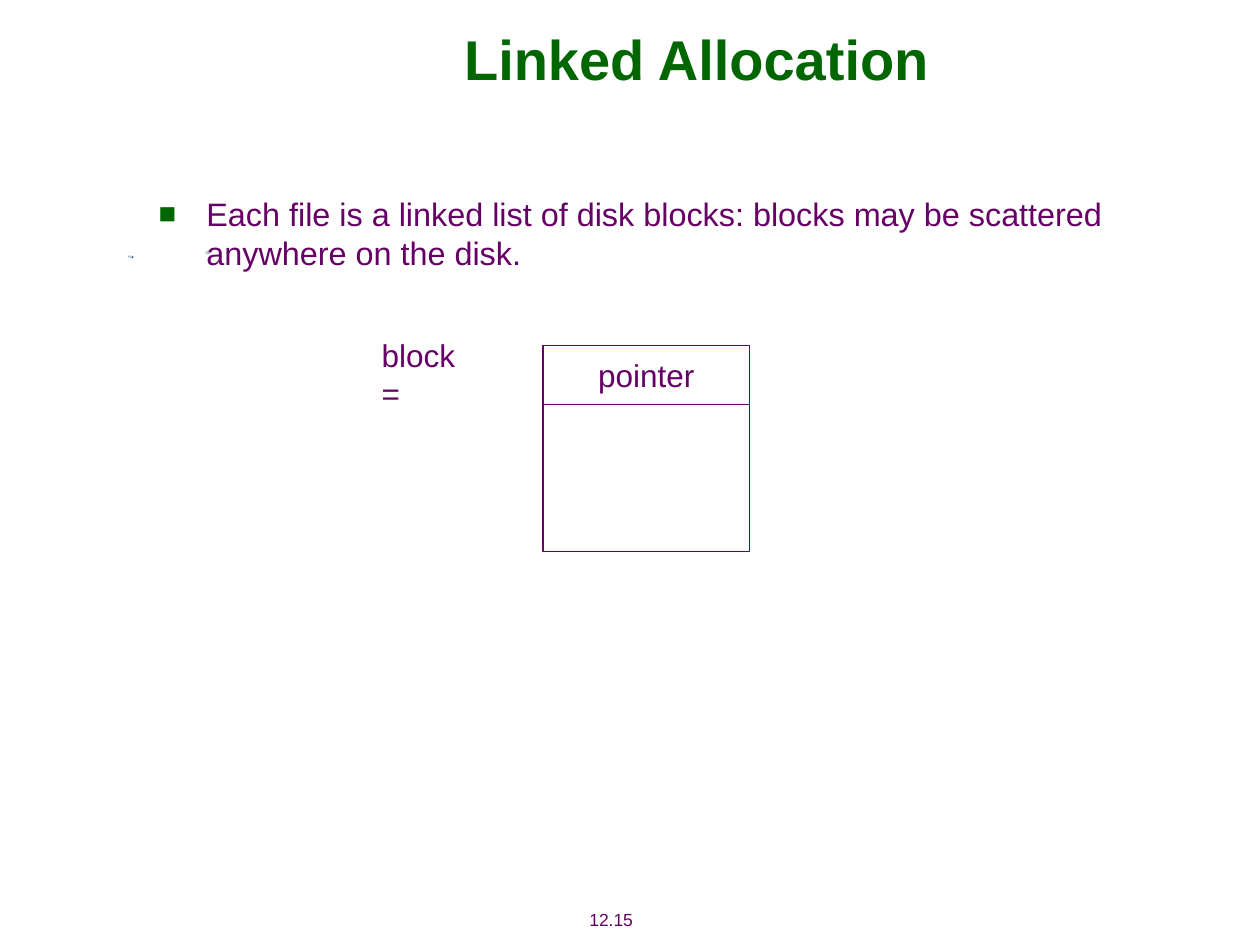
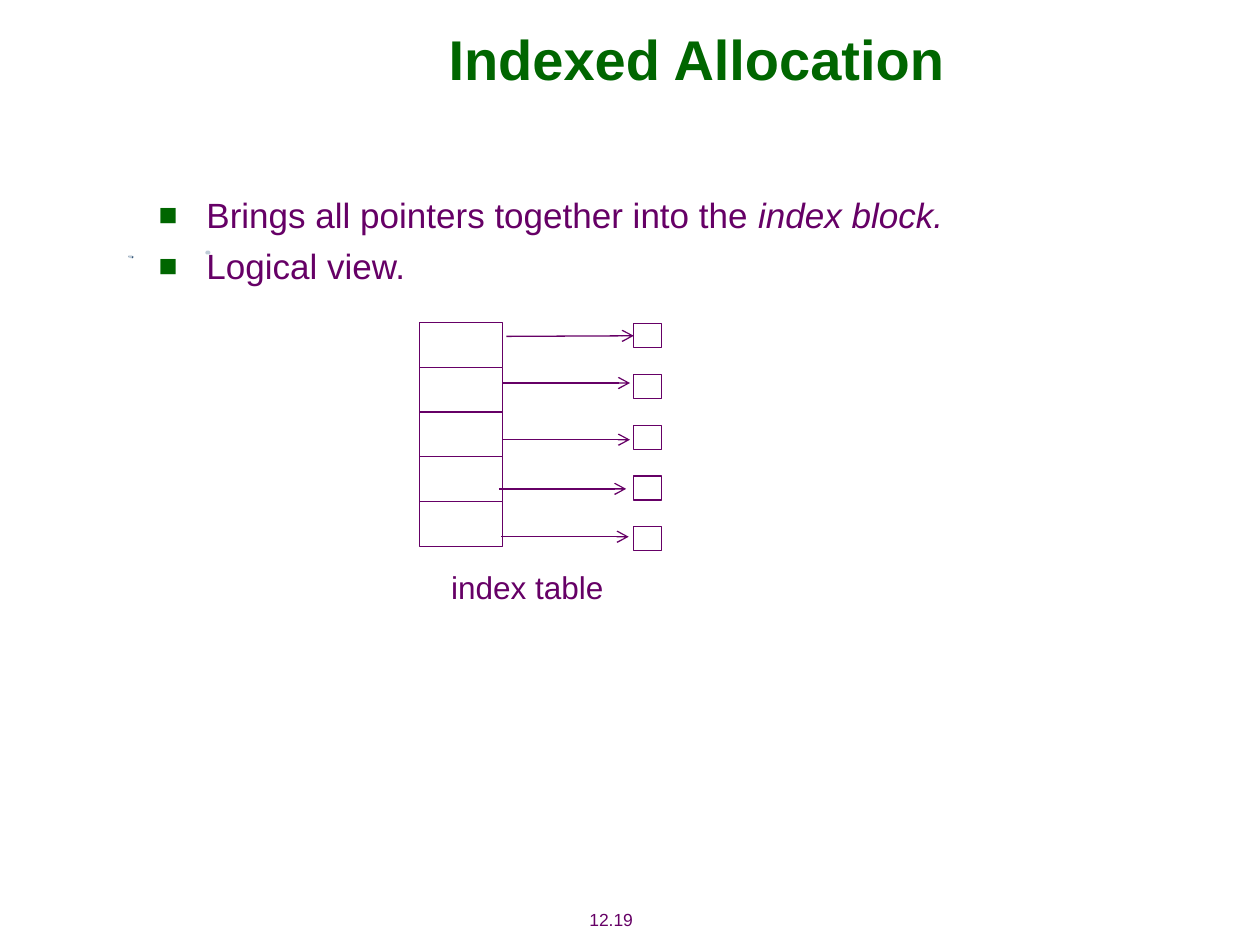
from lxml import etree
from pptx import Presentation
from pptx.dml.color import RGBColor
from pptx.enum import shapes, text
from pptx.oxml import ns
from pptx.util import Inches, Pt

COLORS = {
    "title": "006600",
    "ink": "660066",
    "paper": "FFFFFF",
    "dark_speck": "284C70",
    "pale_speck": "BFCCD8",
}
FONT = "Arial"
TITLE = {"size": Pt(32), "bold": True}
LABEL = {"size": Pt(18)}
FOOTER = {"size": Pt(10)}
MIDDLE = {"vertical_anchor": text.MSO_ANCHOR.MIDDLE}
SPECKS = [
    ("dark_speck", [(1.03, 2.04), (1.05, 2.05), (1.06, 2.04), (1.05, 2.03),
                    (1.02, 2.03), (1.02, 2.04)]),
    ("pale_speck", [(1.04, 2.03), (1.02, 2.03), (1.02, 2.04), (1.04, 2.05),
                    (1.05, 2.04), (1.05, 2.03)]),
    ("pale_speck", [(1.66, 2.02), (1.64, 2.02), (1.63, 2.01), (1.63, 2),
                    (1.64, 1.99), (1.66, 1.99), (1.67, 2), (1.67, 2.01)]),
]


def rgb(name):
    return RGBColor.from_string(COLORS[name])


def apply(obj, fmt):
    for key, value in fmt.items():
        setattr(obj, key, value)


def add_xml(parent, tag, **attrs):
    el = etree.SubElement(parent, ns.qn(tag))
    for key, value in attrs.items():
        el.set(key, str(value))
    return el


def add_run(p, words, fmt, color="ink"):
    r = p.add_run()
    r.text = words
    apply(r.font, {"name": FONT, **fmt})
    r.font.color.rgb = rgb(color)


def add_text(slide, box, words, fmt, color="ink", wrap=False,
             align=text.PP_ALIGN.CENTER):
    sp = slide.shapes.add_textbox(*map(Inches, box))
    apply(sp.text_frame, {"word_wrap": wrap, **MIDDLE})
    p = sp.text_frame.paragraphs[0]
    p.alignment = align
    add_run(p, words, fmt, color)
    return p


def add_bullets(slide, height, size, items):
    sp = slide.shapes.add_textbox(*map(Inches, (1.16, 1.49, 7.69, height)))
    tf = sp.text_frame
    tf.word_wrap = True
    for i, runs in enumerate(items):
        p = tf.add_paragraph() if i else tf.paragraphs[0]
        p.space_before = Pt(5)
        pPr = p._p.get_or_add_pPr()
        pPr.set("marL", str(Inches(0.38)))
        pPr.set("indent", str(-Inches(0.38)))
        add_xml(add_xml(pPr, "a:buClr"), "a:srgbClr", val=COLORS["title"])
        add_xml(pPr, "a:buSzPct", val=90000)
        add_xml(pPr, "a:buFont", typeface=FONT)
        add_xml(pPr, "a:buChar", char="■")
        for words, italic in runs:
            add_run(p, words, {"size": Pt(size), "italic": italic})


def add_box(slide, left, top, width, height, words=None):
    sp = slide.shapes.add_shape(shapes.MSO_SHAPE.RECTANGLE,
                                *map(Inches, (left, top, width, height)))
    sp.shadow.inherit = False
    sp.fill.solid()
    sp.fill.fore_color.rgb = rgb("paper")
    sp.line.color.rgb = rgb("ink")
    sp.line.width = Pt(0.75)
    if words:
        apply(sp.text_frame, {"word_wrap": False, **MIDDLE})
        p = sp.text_frame.paragraphs[0]
        p.alignment = text.PP_ALIGN.CENTER
        add_run(p, words, LABEL)
    return sp


def add_column(slide, left, first, last, width, height, count=5):
    step = (last - first) / (count - 1)
    return [add_box(slide, left, first + i * step, width, height)
            for i in range(count)]


def add_arrow(slide, x1, x2, y):
    cx = slide.shapes.add_connector(shapes.MSO_CONNECTOR.STRAIGHT,
                                    *map(Inches, (x1, y, x2, y)))
    cx.line.color.rgb = rgb("ink")
    cx.line.width = Pt(0.75)
    add_xml(cx.line._get_or_add_ln(), "a:tailEnd", type="arrow")
    add_xml(cx._element.spPr, "a:effectLst")
    return cx


def add_speck(slide, color, points):
    pts = [(Inches(x), Inches(y)) for x, y in points]
    builder = slide.shapes.build_freeform(*pts[0])
    builder.add_line_segments(pts[1:], close=True)
    sp = builder.convert_to_shape()
    sp.shadow.inherit = False
    sp.fill.solid()
    sp.fill.fore_color.rgb = rgb(color)
    sp.line.fill.background()


def add_slide(prs, title, number):
    slide = prs.slides.add_slide(prs.slide_layouts[6])
    add_text(slide, (4.34, 7.16, 1.02, 0.27), number, FOOTER)
    for color, points in SPECKS:
        add_speck(slide, color, points)
    add_text(slide, (1.28, 0, 8.5, 0.92), title, TITLE, "title", wrap=True)
    return slide


def linked_allocation(prs):
    slide = add_slide(prs, "Linked Allocation", "12.15")
    add_bullets(slide, 0.74, 18.5, [
        [("Each file is a linked list of disk blocks: blocks may be "
          "scattered anywhere on the disk.", False)],
    ])
    add_box(slide, 4.31, 2.74, 1.64, 0.47, "pointer")
    add_box(slide, 4.31, 3.21, 1.64, 1.17)
    p = add_text(slide, (2.93, 2.77, 1.34, 0.4), "block\t=", LABEL,
                 wrap=True, align=text.PP_ALIGN.LEFT)
    tabs = add_xml(p._p.get_or_add_pPr(), "a:tabLst")
    add_xml(tabs, "a:tab", pos=Inches(1), algn="l")


def indexed_allocation(prs):
    slide = add_slide(prs, "Indexed Allocation", "12.19")
    add_bullets(slide, 0.93, 20, [
        [("Brings all pointers together into the ", False),
         ("index block.", True)],
        [("Logical view.", False)],
    ])
    add_column(slide, 3.33, 2.56, 3.98, 0.66, 0.36)
    blocks = add_column(slide, 5.03, 2.57, 4.18, 0.22, 0.19)
    arrows = [add_arrow(slide, x, x + 1.01, y) for x, y in [
        (4.02, 2.67), (3.99, 3.04), (3.99, 3.49), (3.96, 3.88), (3.98, 4.26)]]
    arrows[0].end_connect(blocks[0], 1)
    add_text(slide, (3.48, 4.46, 1.41, 0.4), "index table", LABEL)


def main():
    prs = Presentation()
    prs.slide_width, prs.slide_height = Inches(10), Inches(7.5)
    linked_allocation(prs)
    indexed_allocation(prs)
    prs.save("out.pptx")


if __name__ == "__main__":
    main()
